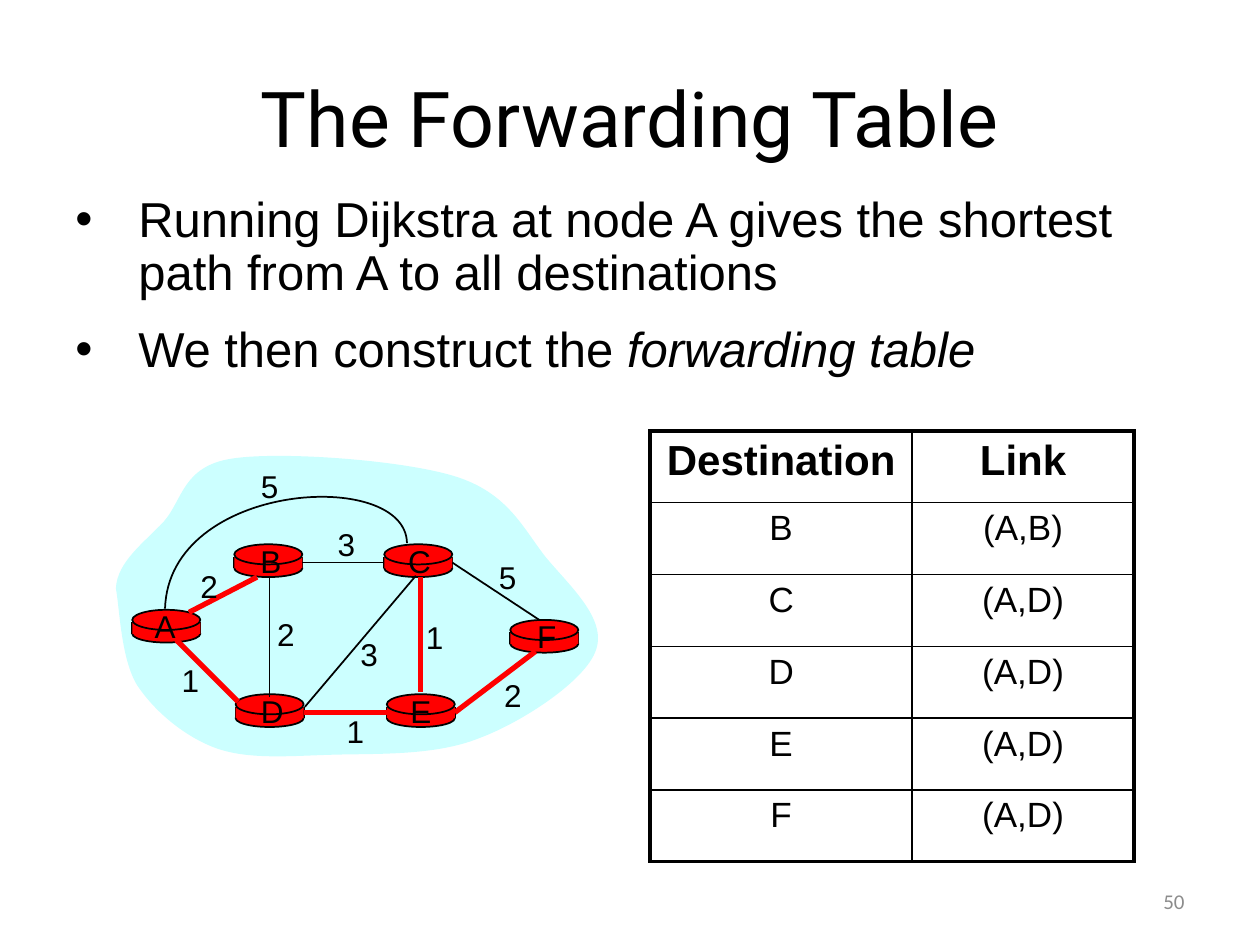
from dataclasses import dataclass

from lxml import etree
from pptx import Presentation
from pptx.dml.color import RGBColor
from pptx.enum.shapes import MSO_CONNECTOR as Connector, MSO_SHAPE as Preset
from pptx.enum.text import MSO_ANCHOR as Anchor, PP_ALIGN as Align
from pptx.oxml.ns import qn
from pptx.util import Inches, Pt

COLORS = {"ink": "000000", "red": "FF0000", "cloud": "CCFFFF", "muted": "8C8C8C"}
LEFT, RIGHT = 1, 3
NODE_WIDTH = 0.54
LABEL_HEIGHT = 0.4


@dataclass
class Node:
    name: str
    x: float
    y: float
    label_shift: float = 0.09


@dataclass
class Edge:
    start: tuple[float, float]
    end: tuple[float, float]
    shortest: bool = False
    start_join: tuple[str, int] | None = None
    end_join: tuple[str, int] | None = None


@dataclass
class Cost:
    value: str
    x: float
    y: float


NODES = [
    Node("A", 1.05, 4.84, 0.07), Node("D", 1.87, 5.51, 0.1), Node("B", 1.86, 4.32, 0.1),
    Node("C", 3.05, 4.32), Node("E", 3.07, 5.51, 0.08), Node("F", 4.05, 4.92, 0.1),
]
EDGES = [
    Edge((3.34, 4.58), (3.34, 5.49), True),
    Edge((2.14, 4.59), (2.14, 5.53)),
    Edge((2.42, 5.61), (3.3, 4.57)),
    Edge((3.61, 5.66), (4.25, 5.17), True, start_join=("E", RIGHT)),
    Edge((2.41, 5.66), (3.07, 5.66), True, ("D", RIGHT), ("E", LEFT)),
    Edge((2.4, 4.46), (3.05, 4.46), False, ("B", RIGHT), ("C", LEFT)),
    Edge((3.59, 4.46), (4.28, 4.92), start_join=("C", RIGHT)),
    Edge((1.4, 5.08), (1.89, 5.57), True),
    Edge((1.5, 4.86), (2.04, 4.58), True),
]
COSTS = [
    Cost("2", 1.49, 4.45), Cost("2", 2.1, 4.83), Cost("1", 1.34, 5.2),
    Cost("3", 2.76, 4.99), Cost("1", 2.65, 5.6), Cost("1", 3.28, 4.86),
    Cost("2", 3.9, 5.32), Cost("5", 3.86, 4.38), Cost("3", 2.58, 4.12),
    Cost("5", 1.97, 3.66),
]
CLOUD = [
    (0.92, 4.67), (0.93, 4.46), (1.14, 4.31), (1.3, 4.14),
    (1.45, 3.97), (1.45, 3.7), (1.84, 3.64), (2.22, 3.58), (3.19, 3.65), (3.61, 3.78),
    (4.03, 3.91), (4.15, 4.19), (4.33, 4.42), (4.52, 4.65), (4.82, 4.91), (4.73, 5.16),
    (4.65, 5.4), (4.15, 5.73), (3.8, 5.86), (3.45, 6), (2.99, 5.98), (2.64, 5.99),
    (2.3, 6), (1.98, 6.03), (1.72, 5.94), (1.47, 5.85), (1.23, 5.65), (1.09, 5.44),
    (0.96, 5.23), (0.95, 4.83), (0.92, 4.67),
]
ARC = [(3.23, 4.31), (3.22, 3.71), (1.34, 3.82), (1.31, 4.83)]
ROUTES = [
    ("Destination", "Link"), ("B", "(A,B)"), ("C", "(A,D)"),
    ("D", "(A,D)"), ("E", "(A,D)"), ("F", "(A,D)"),
]


def color(name: str) -> RGBColor:
    return RGBColor.from_string(COLORS[name])


def style_shape(shape, fill: str | None = None, line: str | None = None) -> None:
    shape.shadow.inherit = False
    if fill:
        shape.fill.solid()
        shape.fill.fore_color.rgb = color(fill)
    else:
        shape.fill.background()
    if line:
        shape.line.color.rgb = color(line)
        shape.line.width = Pt(1)
    else:
        shape.line.fill.background()


def write(paragraph, text: str, *, size: float, font: str = "Arial", ink: str = "ink",
          bold: bool = False, italic: bool = False, align=Align.CENTER) -> None:
    paragraph.alignment = align
    run = paragraph.add_run()
    run.text = text
    run.font.size, run.font.name = Pt(size), font
    run.font.bold, run.font.italic = bold, italic
    run.font.color.rgb = color(ink)


def add_box(slide, x: float, y: float, width: float, height: float,
            wrap: bool = True, anchor=Anchor.TOP):
    frame = slide.shapes.add_textbox(
        Inches(x), Inches(y), Inches(width), Inches(height)).text_frame
    frame.word_wrap = wrap
    frame.vertical_anchor = anchor
    return frame


def add_label(slide, text: str, x: float, y: float, width: float = 0.34) -> None:
    write(add_box(slide, x, y, width, LABEL_HEIGHT, wrap=False).paragraphs[0], text, size=18)


def add_bullet(paragraph, plain: str, emphasis: str = "") -> None:
    properties = paragraph._p.get_or_add_pPr()
    properties.set("marL", str(Inches(0.5)))
    properties.set("indent", str(Inches(-0.5)))
    etree.SubElement(properties, qn("a:buFont"), typeface="Arial")
    etree.SubElement(properties, qn("a:buChar"), char="•")
    paragraph.line_spacing = 0.9
    write(paragraph, plain, size=28, align=Align.LEFT)
    if emphasis:
        write(paragraph, emphasis, size=28, italic=True, align=Align.LEFT)


def add_line(slide, start: tuple[float, float], end: tuple[float, float],
             ink: str = "ink", weight: float = 1):
    line = slide.shapes.add_connector(
        Connector.STRAIGHT, *(Inches(value) for value in (*start, *end)))
    line.line.color.rgb = color(ink)
    line.line.width = Pt(weight)
    etree.SubElement(line._element.spPr, qn("a:effectLst"))
    return line


def add_curve(slide, controls: list[tuple[float, float]], closed: bool):
    start, *others = [(Inches(x), Inches(y)) for x, y in controls]
    builder = slide.shapes.build_freeform(*start)
    builder.add_line_segments(others, close=closed)
    curve = builder.convert_to_shape()
    segments = list(curve._element.spPr.iter(qn("a:lnTo")))
    for first in range(0, len(others), 3):
        bezier = etree.Element(qn("a:cubicBezTo"))
        segments[first].addprevious(bezier)
        for segment in segments[first:first + 3]:
            bezier.append(segment[0])
            segment.getparent().remove(segment)
    return curve


def add_router(slide, node: Node):
    def part(preset, offset: float, height: float, line: str | None = None):
        shape = slide.shapes.add_shape(preset, Inches(node.x), Inches(node.y + offset),
                                       Inches(NODE_WIDTH), Inches(height))
        style_shape(shape, "red", line)
        return shape

    part(Preset.OVAL, 0.12, 0.14, "ink")
    for x in (node.x, node.x + NODE_WIDTH):
        add_line(slide, (x, node.y + 0.1), (x, node.y + 0.19))
    body = part(Preset.RECTANGLE, 0.1, 0.09)
    part(Preset.OVAL, 0, 0.16, "ink")
    return body


def add_network(slide) -> None:
    style_shape(add_curve(slide, CLOUD, closed=True), fill="cloud")
    bodies = {node.name: add_router(slide, node) for node in NODES}
    style_shape(add_curve(slide, ARC, closed=False), line="ink")
    for edge in EDGES:
        ink, weight = ("red", 3) if edge.shortest else ("ink", 1)
        link = add_line(slide, edge.start, edge.end, ink, weight)
        for join, connect in ((edge.start_join, link.begin_connect),
                              (edge.end_join, link.end_connect)):
            if join:
                connect(bodies[join[0]], join[1])
    for node in NODES:
        add_label(slide, node.name, node.x + node.label_shift, node.y - 0.07, 0.38)
    for cost in COSTS:
        add_label(slide, cost.value, cost.x, cost.y)


def add_border(cell, side: str, weight: float) -> None:
    border = etree.SubElement(cell._tc.get_or_add_tcPr(), qn(f"a:ln{side}"), w=str(Pt(weight)))
    fill = etree.SubElement(border, qn("a:solidFill"))
    etree.SubElement(fill, qn("a:srgbClr"), val=COLORS["ink"])


def add_forwarding_table(slide) -> None:
    widths = (2.08, 1.76)
    table = slide.shapes.add_table(len(ROUTES), len(widths), Inches(5.16), Inches(3.42),
                                   Inches(sum(widths)), Inches(3.42)).table
    table.first_row = table.horz_banding = False
    for column, width in zip(table.columns, widths):
        column.width = Inches(width)
    for row, route in enumerate(ROUTES):
        for column, text in enumerate(route):
            cell = table.cell(row, column)
            outer = {"L": column == 0, "R": column == len(widths) - 1,
                     "T": row == 0, "B": row == len(ROUTES) - 1}
            for side, is_outer in outer.items():
                add_border(cell, side, 2.25 if is_outer else 1)
            cell.fill.background()
            write(cell.text_frame.paragraphs[0], text, size=20 if row else 24, bold=row == 0)


def main() -> None:
    deck = Presentation()
    deck.slide_width, deck.slide_height = Inches(10), Inches(7.5)
    slide = deck.slides.add_slide(deck.slide_layouts[6])
    points = add_box(slide, 0.5, 1.5, 9, 5.42)
    add_bullet(points.paragraphs[0],
               "Running Dijkstra at node A gives the shortest path from A to all destinations")
    construct = points.add_paragraph()
    add_bullet(construct, "We then construct the ", "forwarding table")
    construct.space_before = Pt(14)
    title = add_box(slide, 0.5, 0.3, 9, 1.25, anchor=Anchor.MIDDLE)
    write(title.paragraphs[0], "The Forwarding Table", size=44, font="Roboto")
    add_network(slide)
    add_forwarding_table(slide)
    page_number = add_box(slide, 7.17, 6.95, 2.33, 0.4, anchor=Anchor.MIDDLE)
    write(page_number.paragraphs[0], "50", size=12, font="Calibri", ink="muted", align=Align.RIGHT)
    deck.save("out.pptx")


if __name__ == "__main__":
    main()
